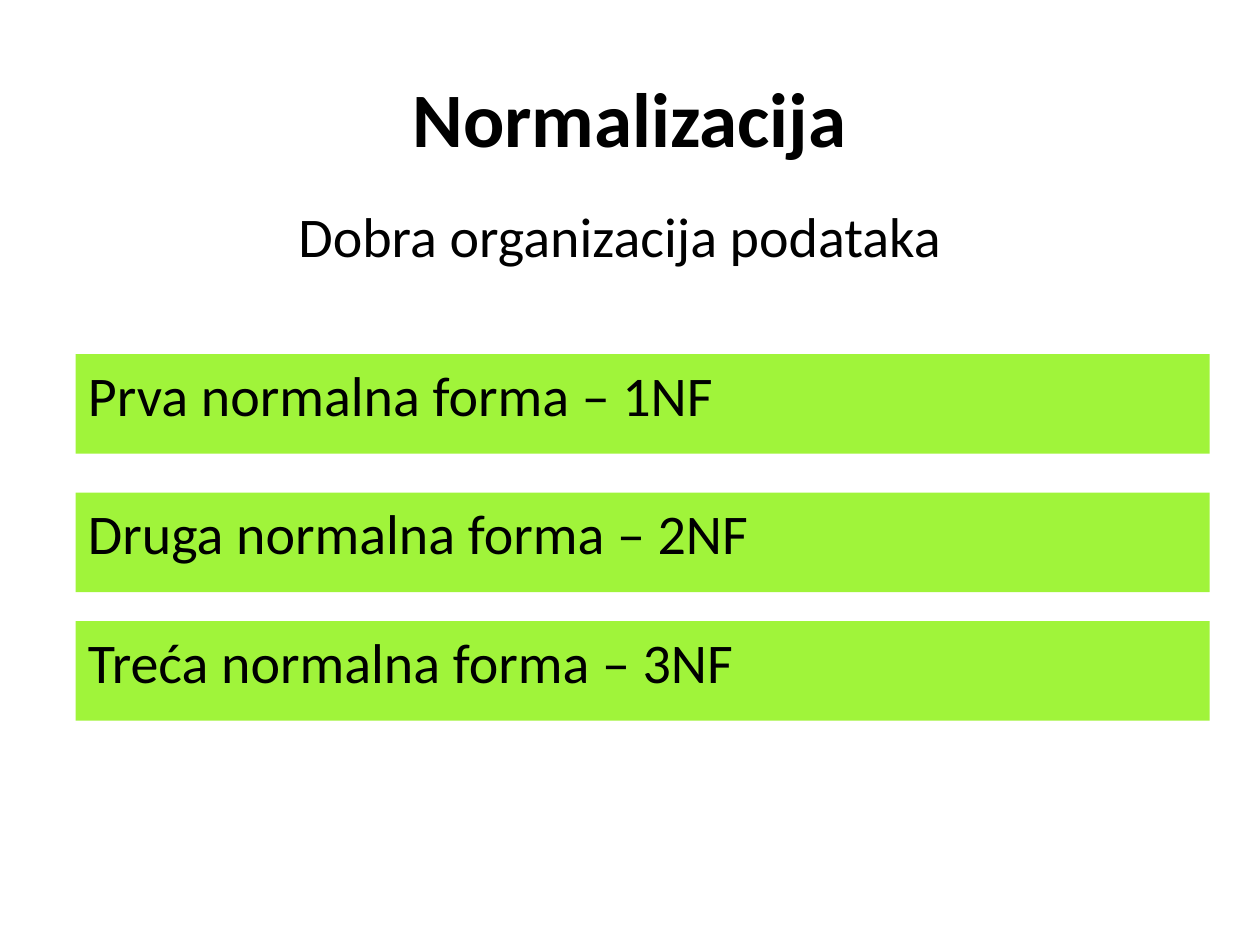
from dataclasses import dataclass
from typing import Optional

import pptx
import pptx.dml.color
import pptx.enum.shapes
import pptx.enum.text
import pptx.util

SLIDE_WIDTH = pptx.util.Inches(10)
SLIDE_HEIGHT = pptx.util.Inches(7.5)
COLOURS = {"ink": "000000", "band": "A0F43A", "paper": "FFFFFF"}
FONT = "Calibri"
ALIGN = pptx.enum.text.PP_ALIGN
ANCHOR = pptx.enum.text.MSO_ANCHOR


@dataclass(frozen=True)
class Block:
    text: str
    left: float
    top: float
    width: float
    height: float
    size: int = 32
    bold: bool = False
    align: ALIGN = ALIGN.LEFT
    anchor: ANCHOR = ANCHOR.TOP
    fill: Optional[str] = None


def colour(name: str) -> pptx.dml.color.RGBColor:
    return pptx.dml.color.RGBColor.from_string(COLOURS[name])


def draw_block(slide, block: Block) -> None:
    area = (
        round(block.left * SLIDE_WIDTH),
        round(block.top * SLIDE_HEIGHT),
        round(block.width * SLIDE_WIDTH),
        round(block.height * SLIDE_HEIGHT),
    )
    if block.fill:
        panel = slide.shapes.add_shape(pptx.enum.shapes.MSO_SHAPE.RECTANGLE, *area)
        panel.shadow.inherit = False
        panel.fill.solid()
        panel.fill.fore_color.rgb = colour(block.fill)
        panel.line.fill.background()
    else:
        panel = slide.shapes.add_textbox(*area)
    frame = panel.text_frame
    frame.word_wrap = True
    frame.vertical_anchor = block.anchor
    paragraph = frame.paragraphs[0]
    paragraph.alignment = block.align
    run = paragraph.add_run()
    run.text = block.text
    run.font.name = FONT
    run.font.size = pptx.util.Pt(block.size)
    run.font.bold = block.bold
    run.font.color.rgb = colour("ink")


def main() -> None:
    presentation = pptx.Presentation()
    presentation.slide_width = SLIDE_WIDTH
    presentation.slide_height = SLIDE_HEIGHT
    slide = presentation.slides.add_slide(presentation.slide_layouts[6])
    slide.background.fill.solid()
    slide.background.fill.fore_color.rgb = colour("paper")

    band_height = 0.79 / 7.5
    heading = Block("Normalizacija", 0.05, 0.04, 0.9, 1.25 / 7.5, size=44,
                    bold=True, align=ALIGN.CENTER, anchor=ANCHOR.MIDDLE)
    subtitle = Block("Dobra organizacija podataka", 0.043, 1.55 / 7.5, 0.898,
                     band_height, align=ALIGN.CENTER)
    ordinals = ("Prva", "Druga", "Treća")
    band_tops = (2.81 / 7.5, 3.91 / 7.5, 4.93 / 7.5)
    normal_forms = [
        Block(f"{ordinal} normalna forma – {number}NF", 0.06, top, 0.9,
              band_height, fill="band")
        for number, (ordinal, top) in enumerate(zip(ordinals, band_tops), start=1)
    ]
    for block in (heading, subtitle, *normal_forms):
        draw_block(slide, block)

    presentation.save("out.pptx")


if __name__ == "__main__":
    main()
